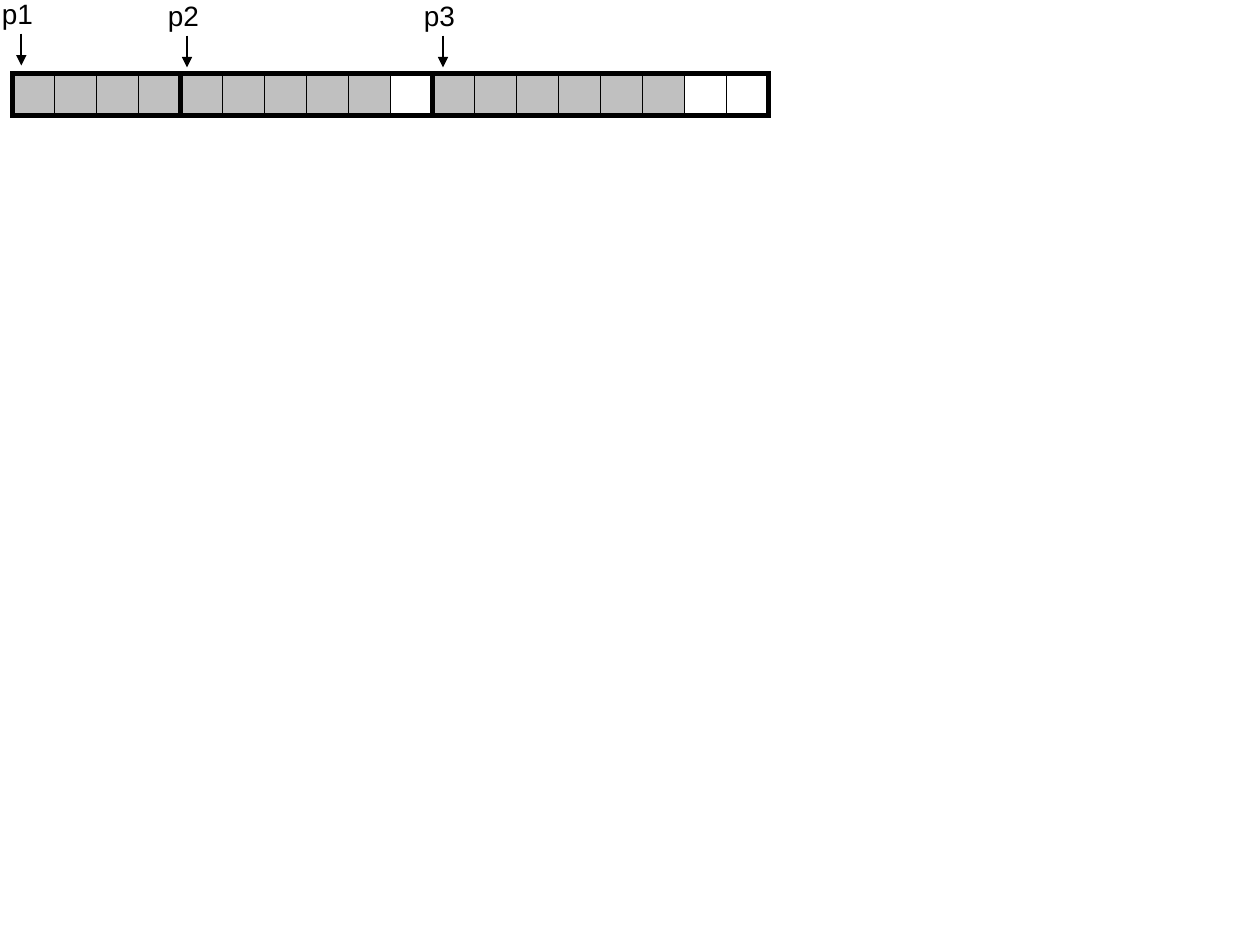
from pptx import Presentation
from pptx.dml.color import RGBColor
from pptx.enum.shapes import MSO_CONNECTOR as Connector, MSO_SHAPE as Shape
from pptx.enum.text import MSO_ANCHOR as Anchor, MSO_AUTO_SIZE as AutoSize, PP_ALIGN as Align
from pptx.oxml.ns import qn
from pptx.util import Cm, Pt
from lxml.etree import SubElement

BLACK = RGBColor(0x00, 0x00, 0x00)
GRAY = RGBColor(0xC0, 0xC0, 0xC0)
WHITE = RGBColor(0xFF, 0xFF, 0xFF)

LEFT = 0.25
CELL_TOP = 1.45
FRAME_TOP = 1.48
CELL = 2.54 / 3
ARROW_LENGTH = 0.64
LABEL_WIDTH, LABEL_HEIGHT = 1.3, 0.94

BLOCKS = [(4, [GRAY] * 4), (6, [GRAY] * 5), (8, [GRAY] * 6 + [WHITE] * 2)]
POINTERS = [
    ("p1", -0.3, -0.21, 0.43, 0.68),
    ("p2", 3.05, -0.17, 3.77, 0.72),
    ("p3", 8.21, -0.17, 8.93, 0.72),
]


class Diagram:
    font = {"name": "Arial", "size": Pt(16)}
    frame = {"word_wrap": False, "auto_size": AutoSize.SHAPE_TO_FIT_TEXT,
             "vertical_anchor": Anchor.MIDDLE}

    def __init__(self, slide):
        self.s = slide

    def box(self, x, y, width, line_width, fill=None):
        sp = self.s.shapes.add_shape(Shape.RECTANGLE, Cm(x), Cm(y), Cm(width), Cm(CELL))
        sp.shadow.inherit = False
        if fill is None:
            sp.fill.background()
        else:
            sp.fill.solid()
            sp.fill.fore_color.rgb = fill
        sp.line.color.rgb = BLACK
        sp.line.width = Pt(line_width)
        SubElement(sp.line._get_or_add_ln(), qn("a:miter"), lim="800000")

    def label(self, text, x, y):
        tf = self.s.shapes.add_textbox(
            Cm(x), Cm(y), Cm(LABEL_WIDTH), Cm(LABEL_HEIGHT)).text_frame
        for key, value in self.frame.items():
            setattr(tf, key, value)
        p = tf.paragraphs[0]
        p.alignment = Align.CENTER
        r = p.add_run()
        r.text = text
        for key, value in self.font.items():
            setattr(r.font, key, value)
        r.font.color.rgb = BLACK

    def arrow(self, x, y):
        cxn = self.s.shapes.add_connector(
            Connector.STRAIGHT, Cm(x), Cm(y), Cm(x), Cm(y + ARROW_LENGTH))
        cxn.line.color.rgb = BLACK
        cxn.line.width = Pt(1)
        SubElement(cxn.line._get_or_add_ln(), qn("a:tailEnd"), type="triangle")
        SubElement(cxn._element.spPr, qn("a:effectLst"))


def main():
    prs = Presentation()
    prs.slide_width, prs.slide_height = Cm(25.4), Cm(19.05)
    diagram = Diagram(prs.slides.add_slide(prs.slide_layouts[6]))

    x = LEFT
    for size, cells in BLOCKS:
        for i, fill in enumerate(cells):
            diagram.box(x + i * CELL, CELL_TOP, CELL, 0.25, fill)
        diagram.box(x, FRAME_TOP, size * CELL, 3)
        x += size * CELL

    for text, label_x, label_y, arrow_x, arrow_y in POINTERS:
        diagram.label(text, label_x, label_y)
        diagram.arrow(arrow_x, arrow_y)

    prs.save("out.pptx")


if __name__ == "__main__":
    main()
